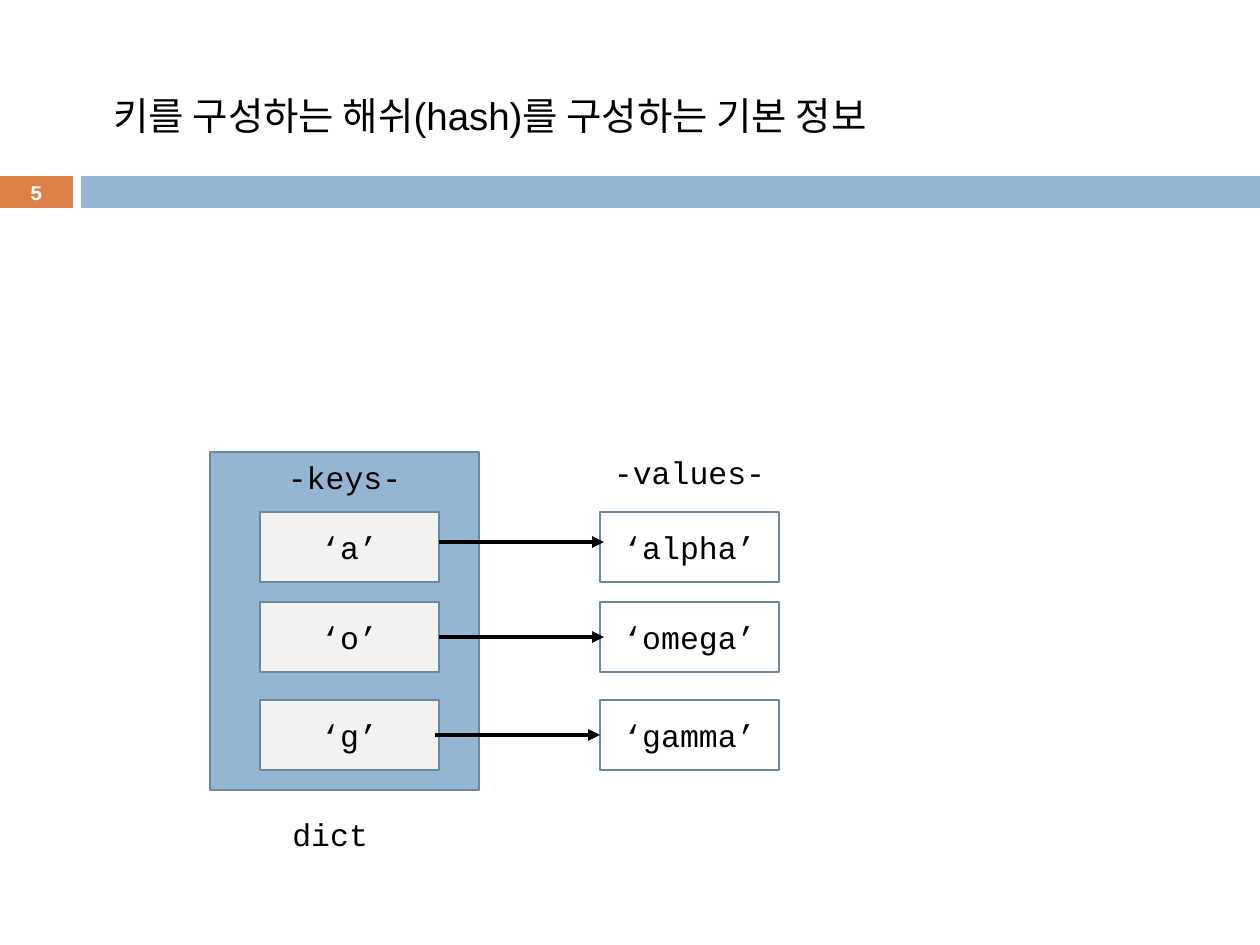
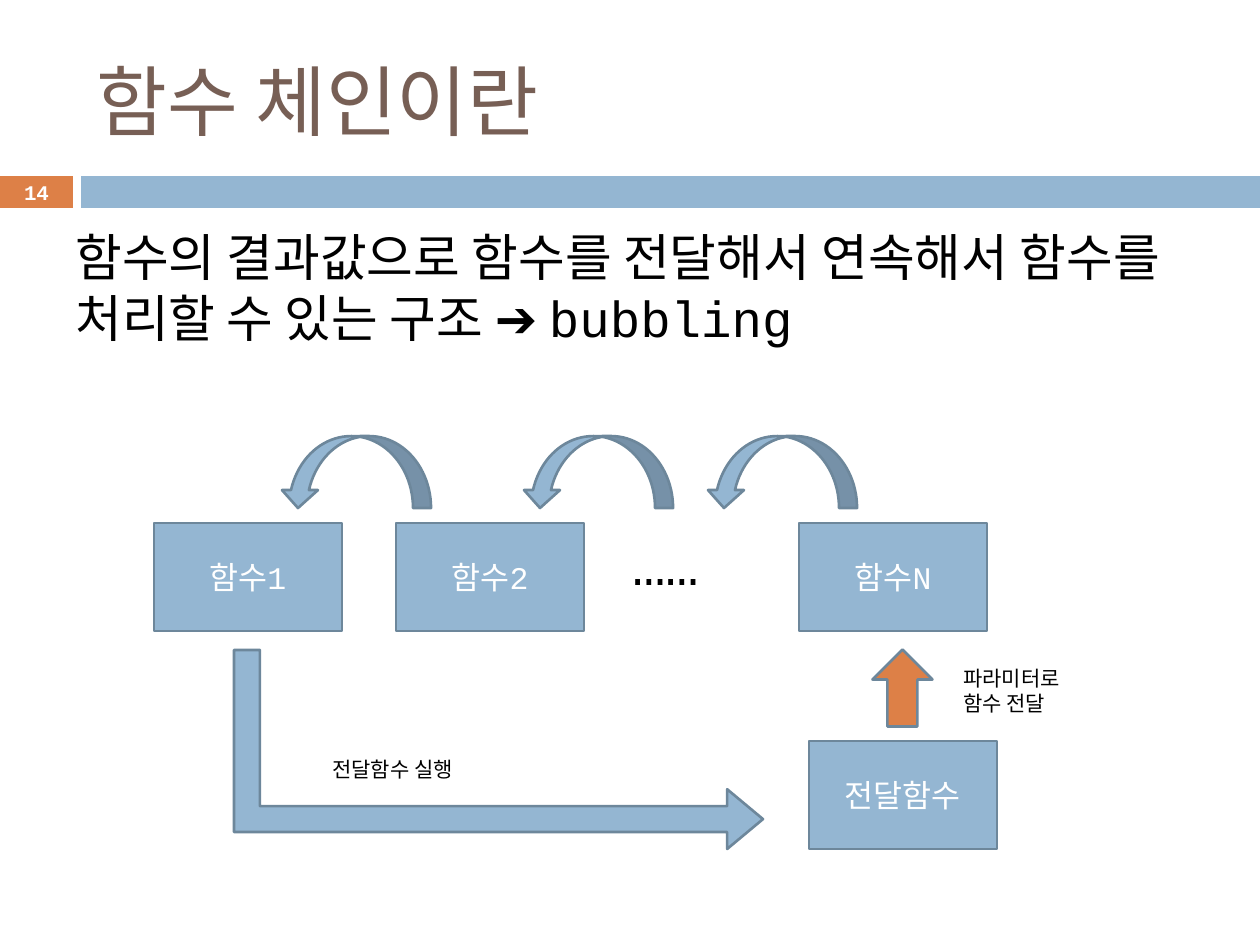
"""Two lecture slides: how a dict maps keys to values, and how function chains work."""
import pptx
import pptx.dml.color
import pptx.enum.shapes
import pptx.enum.text
import pptx.oxml.ns
import pptx.util
from lxml import etree

RGB = pptx.dml.color.RGBColor
SHAPE = pptx.enum.shapes.MSO_SHAPE
ALIGN = pptx.enum.text.PP_ALIGN
ANCHOR = pptx.enum.text.MSO_ANCHOR

ORANGE = RGB(0xDD, 0x80, 0x47)
BLUE = RGB(0x94, 0xB6, 0xD2)
OUTLINE = RGB(0x6D, 0x87, 0x9B)
BROWN = RGB(0x77, 0x5F, 0x55)
PALE = RGB(0xF2, 0xF2, 0xF2)
BLACK = RGB(0, 0, 0)
WHITE = RGB(0xFF, 0xFF, 0xFF)
MONO, SANS = "Courier New", "Arial"
EMU_PER_PX = 914400 / 126

TITLE_AREA = (84, 32, 1124, 136)
NUMBER_AREA = (0, 175, 73, 34)
BANDS = [((0, 176, 73, 32), ORANGE), ((81, 176, 1179, 32), BLUE)]

HASH_TITLE = [(" ", 44, MONO, BROWN), ("키를 구성하는 해쉬(hash)를 구성하는 기본 정보 ", 22, SANS, BLACK)]
ENTRIES = [
    ("‘a’", "‘alpha’", 512, (439, 542)),
    ("‘o’", "‘omega’", 602, (439, 637)),
    ("‘g’", "‘gamma’", 700, (435, 735)),
]
KEY_LEFT, VALUE_LEFT, ENTRY_SIZE, LINK_LENGTH = 260, 600, (179, 70), 165

CHAIN_TITLE = [("함수 체인이란", 44, MONO, BROWN)]
CHAIN_SUMMARY = "함수의 결과값으로 함수를 전달해서 연속해서 함수를 처리할 수 있는 구조 ➔ bubbling"
FUNCTIONS = [("함수1", 154, 523), ("함수2", 396, 523), ("함수N", 799, 523), ("전달함수", 809, 741)]
FUNCTION_SIZE = (188, 108)
RETURN_LEFTS = [706, 522, 280]
CHAIN_NOTES = [
    ("……", 32, (620, 523, 161, 73)),
    ("파라미터로 함수 전달", 12, (951, 659, 135, 58)),
    ("전달함수 실행", 12, (320, 750, 222, 35)),
]


def px(*lengths):
    return [pptx.util.Emu(round(length * EMU_PER_PX)) for length in lengths]


def style(font, size, color, name=MONO):
    font.size, font.name = pptx.util.Pt(size), name
    font.color.rgb = color


def write(shape, text, size, color, align=ALIGN.CENTER):
    paragraph = shape.text_frame.paragraphs[0]
    paragraph.text, paragraph.alignment = text, align
    style(paragraph.font, size, color)
    return paragraph


def add_block(slide, area, fill, kind=SHAPE.RECTANGLE, line=OUTLINE, rotation=0):
    block = slide.shapes.add_shape(kind, *px(*area))
    block.shadow.inherit = False
    block.rotation = rotation
    if fill is None:
        block.fill.background()
    else:
        block.fill.solid()
        block.fill.fore_color.rgb = fill
    if line is None:
        block.line.fill.background()
    else:
        block.line.color.rgb = line
        block.line.width = pptx.util.Pt(1.5)
    return block


def add_label(slide, area, anchor=ANCHOR.TOP):
    label = slide.shapes.add_textbox(*px(*area))
    label.text_frame.word_wrap = True
    label.text_frame.vertical_anchor = anchor
    return label


def add_link(slide, x, y):
    link = slide.shapes.add_connector(
        pptx.enum.shapes.MSO_CONNECTOR.STRAIGHT, *px(x, y, x + LINK_LENGTH, y))
    link.line.color.rgb = BLACK
    link.line.width = pptx.util.Pt(2.25)
    qn = pptx.oxml.ns.qn
    etree.SubElement(link.line._get_or_add_ln(), qn("a:tailEnd"), type="triangle")
    etree.SubElement(link._element.spPr, qn("a:effectLst"))


def add_slide(deck, number, title_runs):
    slide = deck.slides.add_slide(deck.slide_layouts[6])
    for area, color in BANDS:
        add_block(slide, area, color, line=None)
    title = add_label(slide, TITLE_AREA, ANCHOR.MIDDLE).text_frame.paragraphs[0]
    for text, size, name, color in title_runs:
        run = title.add_run()
        run.text = text
        style(run.font, size, color, name)
    page = add_label(slide, NUMBER_AREA, ANCHOR.MIDDLE)
    write(page, number, 11.9, WHITE).font.bold = True
    return slide


def build_hash_slide(deck):
    slide = add_slide(deck, "5", HASH_TITLE)
    keys = add_block(slide, (210, 452, 269, 338), BLUE)
    keys.text_frame.vertical_anchor = ANCHOR.TOP
    write(keys, "-keys-", 18, BLACK)
    for key, value, top, link_start in ENTRIES:
        for text, left, fill in ((key, KEY_LEFT, PALE), (value, VALUE_LEFT, None)):
            write(add_block(slide, (left, top, *ENTRY_SIZE), fill), text, 18, BLACK)
        add_link(slide, *link_start)
    write(add_label(slide, (280, 809, 139, 50)), "dict", 18, BLACK, ALIGN.LEFT)
    write(add_label(slide, (591, 447, 197, 50)), "-values-", 18, BLACK)


def build_chain_slide(deck):
    slide = add_slide(deck, "14", CHAIN_TITLE)
    summary = add_label(slide, (63, 220, 1134, 203))
    write(summary, CHAIN_SUMMARY, 29, BLACK, ALIGN.LEFT).space_before = pptx.util.Pt(7)
    for name, left, top in FUNCTIONS:
        write(add_block(slide, (left, top, *FUNCTION_SIZE), BLUE), name, 18, WHITE)
    for left in RETURN_LEFTS:
        add_block(slide, (left, 436, 151, 72), BLUE, SHAPE.CURVED_UP_ARROW, rotation=180)
    add_block(slide, (864, 658, 77, 60), ORANGE, SHAPE.RIGHT_ARROW, rotation=270)
    execution = add_block(slide, (399, 485, 199, 529), BLUE, SHAPE.BENT_UP_ARROW, rotation=90)
    for index, ratio in enumerate((0.13, 0.15, 0.18)):
        execution.adjustments[index] = ratio
    for text, size, area in CHAIN_NOTES:
        write(add_label(slide, area), text, size, BLACK, ALIGN.LEFT)


deck = pptx.Presentation()
deck.slide_width, deck.slide_height = px(1260, 945)
build_hash_slide(deck)
build_chain_slide(deck)
deck.save("out.pptx")
